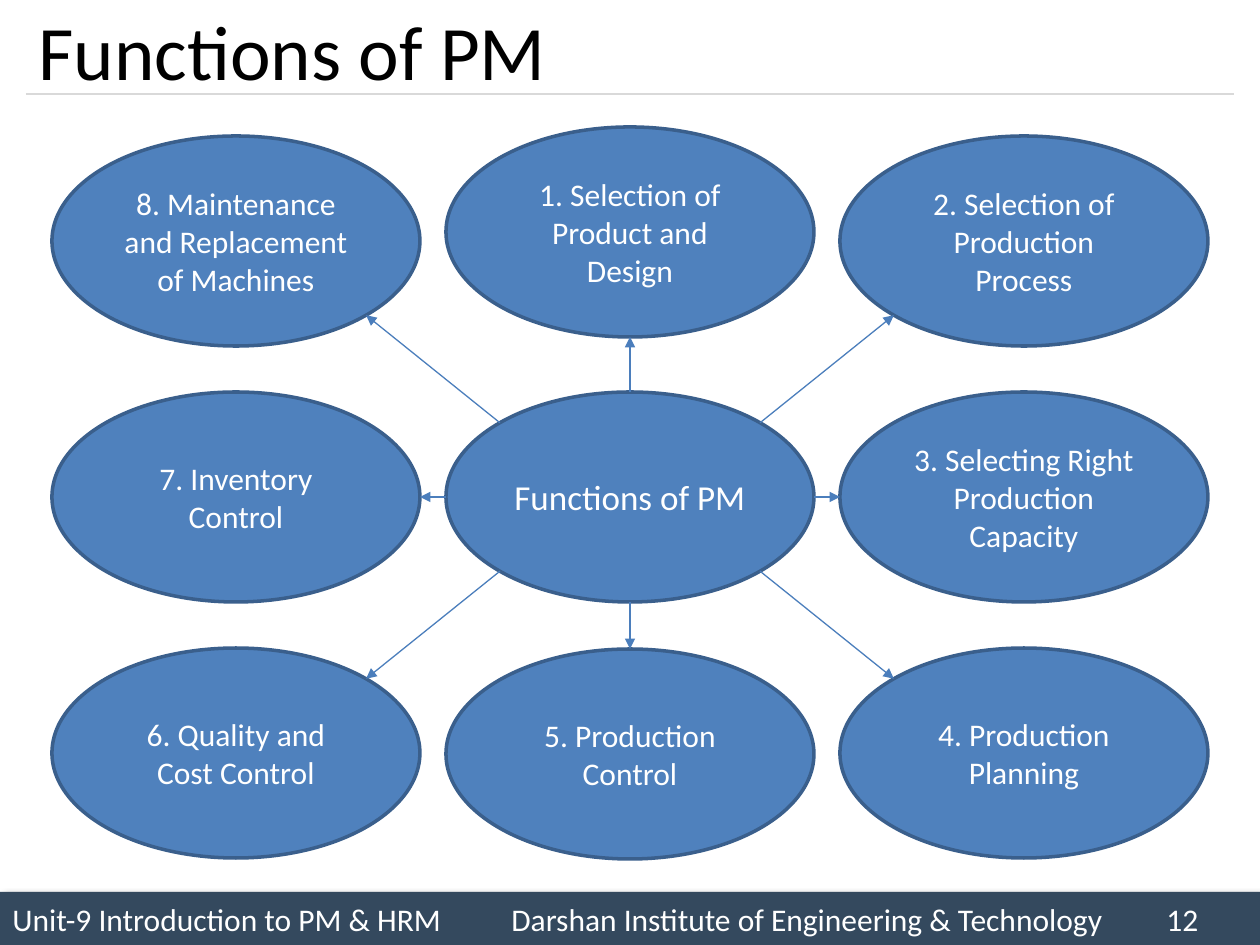
"""Build the slide showing the eight functions of PM around a central hub."""
from math import hypot

from pptx import Presentation
from pptx.dml.color import RGBColor
from pptx.enum.shapes import MSO_CONNECTOR, MSO_SHAPE
from pptx.enum.text import MSO_ANCHOR, PP_ALIGN
from pptx.oxml import parse_xml
from pptx.oxml.ns import nsdecls, qn
from pptx.oxml.xmlchemy import OxmlElement
from pptx.util import Pt

EMU_PER_PX = 914400 / 126
WHITE = RGBColor(0xFF, 0xFF, 0xFF)
BLACK = RGBColor(0x00, 0x00, 0x00)
SLATE = RGBColor(0x34, 0x49, 0x5E)
RULE_GREY = RGBColor(0xD9, 0xD9, 0xD9)
OVAL_BLUE = RGBColor(0x4F, 0x81, 0xBD)
OUTLINE_BLUE = RGBColor(0x3A, 0x5F, 0x8C)
ARROW_BLUE = RGBColor(0x4B, 0x7E, 0xBC)

OVAL_WIDTH, OVAL_HEIGHT = 368, 210
LEFT_MARGIN, COLUMN_STEP = 52, 394
SIDE_TOPS = (136, 392, 648)
MIDDLE_TOPS = (127, 392, 649)
HUB = (1, 1)
FUNCTIONS = {
    (1, 0): "1. Selection of Product and Design",
    (2, 0): "2. Selection of Production Process",
    (2, 1): "3. Selecting Right Production Capacity",
    (2, 2): "4. Production Planning",
    (1, 2): "5. Production Control",
    (0, 2): "6. Quality and Cost Control",
    (0, 1): "7. Inventory Control",
    (0, 0): "8. Maintenance and Replacement of Machines",
}
FOOTER = ("Unit-9 Introduction to PM & HRM\t"
          "Darshan Institute of Engineering & Technology\t12")
FOOTER_TABS = (499, 1154)


def px(*lengths):
    """Turn pixel lengths into a list of EMU."""
    return [round(length * EMU_PER_PX) for length in lengths]


def write_text(holder, text, size=18, color=WHITE, align=PP_ALIGN.LEFT,
               wrap=True, tabs=()):
    """Write one formatted paragraph into a shape."""
    frame = holder.text_frame
    frame.word_wrap = wrap
    frame.vertical_anchor = MSO_ANCHOR.MIDDLE
    paragraph = frame.paragraphs[0]
    paragraph.alignment = align
    if tabs:
        stops = "".join(f'<a:tab pos="{pos}" algn="l"/>' for pos in px(*tabs))
        paragraph._p.get_or_add_pPr().append(
            parse_xml(f'<a:tabLst {nsdecls("a")}>{stops}</a:tabLst>'))
    run = paragraph.add_run()
    run.text = text
    run.font.name = "Calibri"
    run.font.size = Pt(size)
    run.font.color.rgb = color


def add_line(slide, start, end, color, arrow=False):
    """Draw a thin straight line, with an arrowhead at its end if asked."""
    line = slide.shapes.add_connector(
        MSO_CONNECTOR.STRAIGHT, *px(*start), *px(*end))
    line.line.color.rgb = color
    line.line.width = Pt(0.75)
    properties = line._element.spPr
    if arrow:
        head = OxmlElement("a:tailEnd")
        head.set("type", "triangle")
        properties.find(qn("a:ln")).append(head)
    properties.append(OxmlElement("a:effectLst"))


def add_footer(slide):
    """Draw the shadowed footer band with its tabbed text."""
    band = slide.shapes.add_shape(MSO_SHAPE.RECTANGLE, *px(0, 892, 1260, 53))
    band.fill.solid()
    band.fill.fore_color.rgb = SLATE
    band.line.fill.background()
    band.shadow.inherit = False
    band._element.spPr.find(qn("a:effectLst")).append(parse_xml(
        f'<a:outerShdw {nsdecls("a")} blurRad="50800" dist="38100" '
        'dir="2700000" algn="tl" rotWithShape="0"><a:srgbClr val="000000">'
        '<a:alpha val="40000"/></a:srgbClr></a:outerShdw>'))
    write_text(band, FOOTER, tabs=FOOTER_TABS)


def add_title(slide):
    """Place and fill the title."""
    title = slide.shapes.title
    title.left, title.top, title.width, title.height = px(26, -6, 1207, 111)
    write_text(title, "Functions of PM", size=44, color=BLACK, wrap=False)


def oval_origin(cell):
    """Return the left and top of the oval in a grid cell."""
    column, row = cell
    tops = MIDDLE_TOPS if column == 1 else SIDE_TOPS
    return LEFT_MARGIN + column * COLUMN_STEP, tops[row]


def add_oval(slide, cell, text, size=18):
    """Draw a labelled oval in a grid cell."""
    oval = slide.shapes.add_shape(
        MSO_SHAPE.OVAL, *px(*oval_origin(cell), OVAL_WIDTH, OVAL_HEIGHT))
    oval.fill.solid()
    oval.fill.fore_color.rgb = OVAL_BLUE
    oval.line.color.rgb = OUTLINE_BLUE
    oval.line.width = Pt(2)
    oval.shadow.inherit = False
    write_text(oval, text, size=size, align=PP_ALIGN.CENTER)


def rim_point(cell, across, down):
    """Return the point on an oval's rim in a compass direction."""
    left, top = oval_origin(cell)
    length = hypot(across, down)
    return (left + OVAL_WIDTH / 2 * (1 + across / length),
            top + OVAL_HEIGHT / 2 * (1 + down / length))


def add_arrow(slide, cell):
    """Draw the arrow from the hub to the oval in a grid cell."""
    across, down = cell[0] - HUB[0], cell[1] - HUB[1]
    add_line(slide, rim_point(HUB, across, down),
             rim_point(cell, -across, -down), ARROW_BLUE, arrow=True)


def main():
    """Build and save the slide."""
    deck = Presentation()
    deck.slide_width, deck.slide_height = px(1260, 945)
    slide = deck.slides.add_slide(deck.slide_layouts[5])
    add_footer(slide)
    add_line(slide, (26, 94), (1234, 94), RULE_GREY)
    add_title(slide)
    add_oval(slide, HUB, "Functions of PM", size=20)
    for cell, label in FUNCTIONS.items():
        add_oval(slide, cell, label)
    for cell in FUNCTIONS:
        add_arrow(slide, cell)
    deck.save("out.pptx")


if __name__ == "__main__":
    main()
